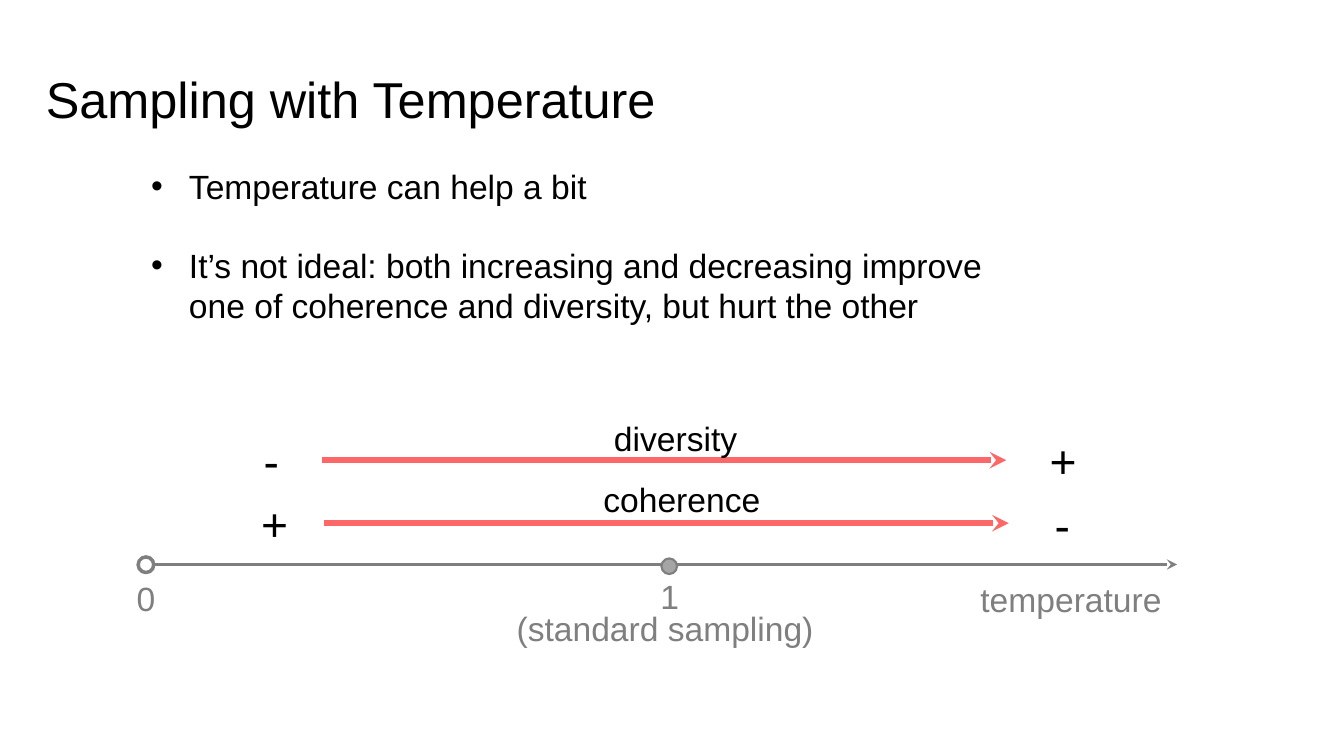
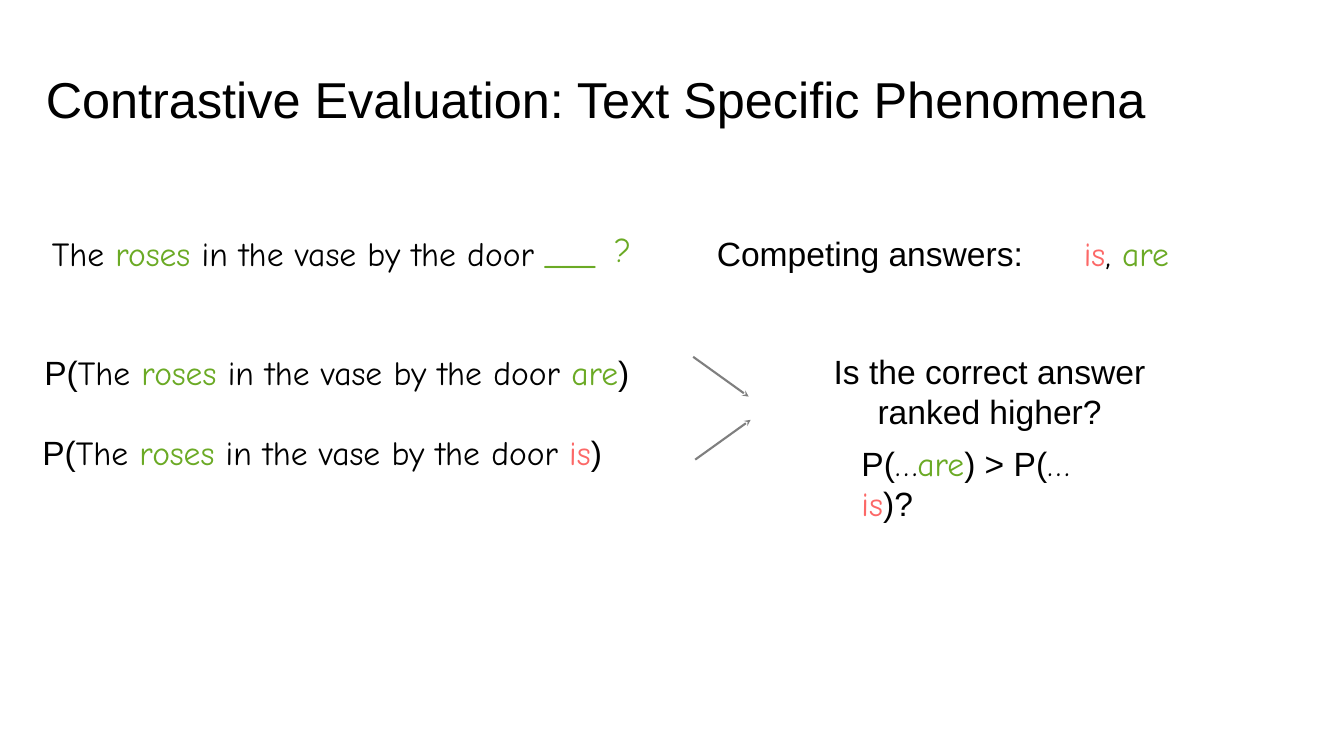
from lxml import etree
from pptx import Presentation
from pptx.dml.color import RGBColor
from pptx.enum.shapes import MSO_CONNECTOR, MSO_SHAPE
from pptx.enum.text import PP_ALIGN
from pptx.oxml.ns import qn
from pptx.util import Inches, Pt

STRAIGHT = MSO_CONNECTOR.STRAIGHT
OVAL = MSO_SHAPE.OVAL
LEFT, CENTER = PP_ALIGN.LEFT, PP_ALIGN.CENTER

COLORS = {"black": "000000", "gray": "7F7F7F", "dot": "A5A5A5",
          "white": "FFFFFF", "red": "FC6867", "green": "6BAA25"}
PLAIN, EXAMPLE = "Arial", "Comic Neue"
TITLE_SIZE, SIGN_SIZE, BODY_SIZE = 72, 66, 48
LINE = 0.91  # height of a one-line body box

# Slide 1: temperature
TEMPERATURE_TITLE = "Sampling with Temperature"
TEMPERATURE_POINTS = [
    "Temperature can help a bit",
    "It’s not ideal: both increasing and decreasing improve one of "
    "coherence and diversity, but hurt the other",
]
AXIS_Y, AXIS_START, AXIS_END = 11.2, 2.9, 23.35
AXIS_LABELS = [  # text, left, top, width
    ("0", 2.61, 11.41, 0.58),
    ("1", 13, 11.38, 0.58),
    ("(standard sampling)", 10.15, 12.02, 6.94),
    ("temperature", 19.35, 11.44, 4),
]
AXIS_MARKS = [  # left, top, fill, line width
    (2.74, 11.05, "white", 5),
    (13.12, 11.08, "dot", 3),
]
MARK_SIZE = 0.31
TREND_LENGTH = 13.58
TRENDS = [  # label (left, top, width), arrow start, signs (text, left, top)
    (("diversity", 12.08, 8.25, 2.75), (6.38, 9.13),
     [("-", 5.13, 8.53), ("+", 20.72, 8.53)]),
    (("coherence", 11.87, 9.45, 3.39), (6.43, 10.38),
     [("+", 5.08, 9.78), ("-", 20.82, 9.79)]),
]
SIGN_WIDTHS = {"+": 1.16, "-": 0.54}

# Slide 2: contrastive evaluation; runs are (text, color, font)
CONTRAST_TITLE = "Contrastive Evaluation: Text Specific Phenomena"
ARE = ("are", "green", EXAMPLE)
IS = ("is", "red", EXAMPLE)
DOTS = ("…", "black", EXAMPLE)
SENTENCE = [("The ", "black", EXAMPLE), ("roses", "green", EXAMPLE),
            (" in the vase by the door ", "black", EXAMPLE)]


def plain(text, color="black"):
    return (text, color, PLAIN)


def probability(answer):
    return [plain("P("), *SENTENCE, answer, plain(")")]


CONTRAST_TEXTS = [  # runs, left, top, width, height, alignment
    ([*SENTENCE, ("___", "green", EXAMPLE)], 0.93, 4.58, 12.24, LINE, LEFT),
    ([("?", "green", EXAMPLE)], 12.09, 4.5, 0.55, LINE, LEFT),
    ([plain("Competing answers:")], 14.12, 4.58, 6.42, LINE, LEFT),
    ([IS, (", ", "black", EXAMPLE), ARE], 21.4, 4.58, 2.14, LINE, LEFT),
    (probability(ARE), 0.78, 6.93, 12.85, LINE, LEFT),
    (probability(IS), 0.74, 8.53, 12.27, LINE, LEFT),
    ([plain("Is the correct answer ranked higher?")],
     16.29, 6.91, 6.68, 1.72, CENTER),
    ([plain("P("), DOTS, ARE, plain(") > P("), DOTS, IS, plain(")?")],
     16.99, 8.73, 5.19, LINE, LEFT),
]
MERGE_ARROWS = [((13.75, 7.08), (14.85, 7.87)),
                ((13.79, 9.12), (14.89, 8.33))]


def rgb(name):
    return RGBColor.from_string(COLORS[name])


def add_frame(slide, left, top, width, height):
    box = slide.shapes.add_textbox(*map(Inches, (left, top, width, height)))
    box.text_frame.word_wrap = True
    return box.text_frame


def add_text(slide, runs, left, top, width, height=LINE, align=LEFT,
             size=BODY_SIZE):
    paragraph = add_frame(slide, left, top, width, height).paragraphs[0]
    paragraph.alignment = align
    paragraph.font.size = Pt(size)
    for text, color, font in runs:
        run = paragraph.add_run()
        run.text = text
        run.font.name = font
        run.font.color.rgb = rgb(color)
    return paragraph


def add_title(slide, text):
    title = add_text(slide, [plain(text)], 0.81, 0.83, 25.85, 1.65,
                     size=TITLE_SIZE)
    title.line_spacing = 1.39


def add_bullets(slide, points, left, top, width, height):
    frame = add_frame(slide, left, top, width, height)
    for i, point in enumerate(points):
        paragraph = frame.add_paragraph() if i else frame.paragraphs[0]
        paragraph.text = point
        if i:
            paragraph.space_before = Pt(55)
        properties = paragraph._p.get_or_add_pPr()
        properties.set("marL", str(Inches(0.75)))
        properties.set("indent", str(-Inches(0.75)))
        etree.SubElement(properties, qn("a:buFont"), typeface=PLAIN)
        etree.SubElement(properties, qn("a:buChar"), char="•")
        paragraph.font.size = Pt(BODY_SIZE)
        paragraph.font.name = PLAIN
        paragraph.font.color.rgb = rgb("black")


def add_arrow(slide, start, end, color, width, head=None):
    arrow = slide.shapes.add_connector(STRAIGHT, *map(Inches, (*start, *end)))
    arrow.line.color.rgb = rgb(color)
    arrow.line.width = Pt(width)
    outline = arrow.line._get_or_add_ln()
    if head:
        etree.SubElement(outline, qn("a:headEnd"), type=head)
    etree.SubElement(outline, qn("a:tailEnd"), type="stealth")
    etree.SubElement(arrow._element.spPr, qn("a:effectLst"))


def add_mark(slide, left, top, fill, width):
    mark = slide.shapes.add_shape(
        OVAL, *map(Inches, (left, top, MARK_SIZE, MARK_SIZE)))
    mark.shadow.inherit = False
    mark.fill.solid()
    mark.fill.fore_color.rgb = rgb(fill)
    mark.line.color.rgb = rgb("gray")
    mark.line.width = Pt(width)


def build_temperature(slide):
    add_title(slide, TEMPERATURE_TITLE)
    add_bullets(slide, TEMPERATURE_POINTS, 2.9, 3.24, 17.55, 3.33)
    # Temperature axis
    add_arrow(slide, (AXIS_START, AXIS_Y), (AXIS_END, AXIS_Y), "gray", 5,
              head="oval")
    for mark in AXIS_MARKS:
        add_mark(slide, *mark)
    for text, *place in AXIS_LABELS:
        add_text(slide, [plain(text, "gray")], *place)
    # Trends along the axis
    for (label, *place), (x, y), signs in TRENDS:
        add_arrow(slide, (x, y), (x + TREND_LENGTH, y), "red", 8)
        add_text(slide, [plain(label)], *place)
        for sign, left, top in signs:
            add_text(slide, [plain(sign)], left, top, SIGN_WIDTHS[sign], 1.21,
                     size=SIGN_SIZE)


def build_contrast(slide):
    add_title(slide, CONTRAST_TITLE)
    for text in CONTRAST_TEXTS:
        add_text(slide, *text)
    for start, end in MERGE_ARROWS:
        add_arrow(slide, start, end, "gray", 3)


def main():
    deck = Presentation()
    deck.slide_width, deck.slide_height = Inches(26.66), Inches(15)
    for build in (build_temperature, build_contrast):
        build(deck.slides.add_slide(deck.slide_layouts[6]))
    deck.save("out.pptx")


if __name__ == "__main__":
    main()
